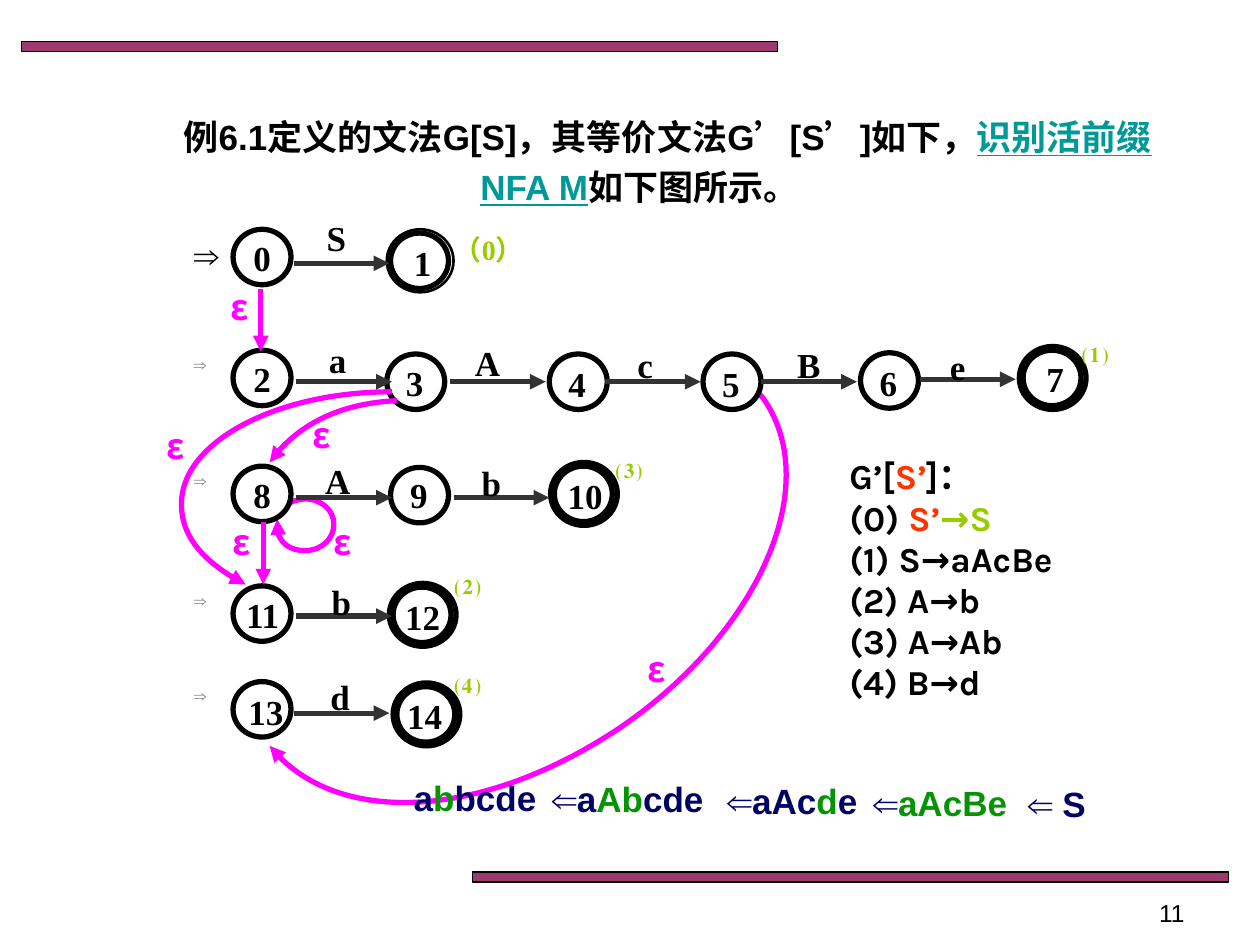
from lxml.etree import SubElement
from pptx import Presentation
from pptx.dml.color import RGBColor
from pptx.enum.shapes import MSO_CONNECTOR, MSO_SHAPE
from pptx.enum.text import PP_ALIGN
from pptx.oxml.ns import qn
from pptx.util import Pt

SCALE = 9144  # EMU per px, 100 px to the inch
BLACK, WHITE = RGBColor(0, 0, 0), RGBColor(255, 255, 255)
PLUM, GREY = RGBColor(0x99, 0x33, 0x66), RGBColor(0x80, 0x80, 0x80)
DARK, PINK = RGBColor(0x33, 0x33, 0x33), RGBColor(0xFF, 0, 0xFF)
TEAL, LIME = RGBColor(0, 0x99, 0x99), RGBColor(0x99, 0xCC, 0)
RED, NAVY = RGBColor(0xFF, 0x33, 0), RGBColor(0, 0, 0x66)
GREEN = RGBColor(0x06, 0x94, 0x06)
SANS, SERIF, KARLA, CJK = "Arial", "Times New Roman", "Karla", "Noto Sans CJK SC"
LEFT, MID, RIGHT = PP_ALIGN.LEFT, PP_ALIGN.CENTER, PP_ALIGN.RIGHT

BARS = [(17, 33), (375, 692)]
TITLE = [("例6.1定义的文法G[S]，其等价文法G", BLACK), ("’", BLACK), ("[S", BLACK),
         ("’", BLACK), ("]如下，", BLACK), ("识别活前缀NFA M", TEAL),
         ("如下图所示。", BLACK)]
RULES = [
    [("G’[", BLACK), ("S’", RED), ("]：", BLACK)],
    [("(0) ", BLACK), ("S’", RED), ("→S", LIME)],
    [("(1) S→aAcBe", BLACK)],
    [("(2) A→b", BLACK)],
    [("(3) A→Ab", BLACK)],
    [("(4) B→d", BLACK)],
]
STEPS = [  # x, y, width, runs
    (313, 611, 128, [("a", NAVY), ("b", GREEN), ("bcde", NAVY)]),
    (423, 612, 150, [("⇐a", NAVY), ("Ab", GREEN), ("cde", NAVY)]),
    (559, 614, 139, [("⇐aAc", NAVY), ("d", GREEN), ("e", NAVY)]),
    (678, 615, 136, [("⇐", NAVY), ("aAcBe", GREEN)]),
    (799, 616, 79, [("⇐ S", NAVY)]),
]
BACK = [(185, 182), (307, 281)]  # states under the curves
STATES = [(310, 371), (185, 278), (185, 370), (185, 465), (436, 281),
          (558, 281), (683, 280), (185, 541)]
FINALS = [  # inner ring x, y, outer line width
    (310, 185, 1.5), (812, 278, 3), (440, 370, 3), (312, 466, 3), (315, 545, 3)]
NAMES = [  # text, x, y, width
    ("0", 187, 183, 42), ("1", 310, 187, 51), ("2", 187, 279, 42),
    ("3", 308, 282, 42), ("4", 437, 283, 42), ("5", 559, 283, 42),
    ("6", 684, 282, 42), ("7", 812, 279, 51), ("8", 187, 371, 42),
    ("9", 306, 371, 53), ("10", 438, 372, 53), ("11", 182, 466, 53),
    ("12", 309, 468, 53), ("13", 183, 543, 56), ("14", 311, 546, 52),
    ("S", 246, 167, 42), ("a", 247, 264, 42), ("A", 366, 266, 42),
    ("c", 491, 268, 42), ("B", 621, 268, 42), ("e", 739, 269, 42),
    ("A", 247, 360, 42), ("b", 369, 361, 42), ("b", 250, 456, 42),
    ("d", 249, 531, 42),
]
EPSILONS = [(504, 509), (173, 222), (122, 332), (238, 323), (255, 408), (175, 408)]
MARKS = [("⑴", 849, 261), ("⑶", 479, 353), ("⑵", 351, 445), ("⑷", 351, 523)]
STARTS = [276, 368, 463, 539]
ARROWS = [(233, 209), (235, 303), (357, 303), (480, 303), (604, 303),
          (730, 301), (235, 395), (360, 395), (235, 489), (233, 566)]
DROPS = [(207, 229), (209, 414)]
CURVES = [  # arrow end, start point, then three points for each Bezier part
    ("tail", (311, 311), (219, 311), (144, 351), (144, 400),
     (144, 424), (162, 447), (195, 464)),
    ("head", (214, 592), (264, 656), (386, 649), (493, 577),
     (602, 502), (653, 387), (607, 318), (605, 315), (603, 313), (600, 310)),
    ("tail", (315, 318), (272, 320), (233, 339), (214, 367)),
    ("tail", (227, 401), (231, 398), (237, 396), (242, 396),
     (255, 396), (265, 405), (265, 416), (265, 428), (255, 437), (242, 437),
     (230, 437), (219, 428), (219, 416), (219, 415), (220, 413), (220, 412)),
]

deck = Presentation()
deck.slide_width, deck.slide_height = 1000 * SCALE, 750 * SCALE
slide = deck.slides.add_slide(deck.slide_layouts[6])
shapes = slide.shapes


def emu(*sizes):
    return [n * SCALE for n in sizes]


def write(para, runs, font, size, bold=True, align=LEFT, east=None, first=0):
    """Fill one paragraph with (text, colour) runs; first is its indent in px."""
    para.alignment = align
    if first:
        props = para._p.get_or_add_pPr()
        props.set("marL", "0")
        props.set("indent", str(first * SCALE))
    para.font.name, para.font.size, para.font.bold = font, Pt(size), bold
    SubElement(para.font._element, qn("a:ea"), typeface=east or font)
    for text, color in runs:
        run = para.add_run()
        run.text = text
        run.font.color.rgb = color
        if color == TEAL:
            run.font.underline = True
        if text == "’":
            run.font.name = CJK


def label(box, runs, font=SERIF, size=20, **style):
    frame = shapes.add_textbox(*emu(*box)).text_frame
    frame.word_wrap = True
    write(frame.paragraphs[0], runs, font, size, **style)
    return frame.paragraphs[0]


def ring(x, y, w, h, width=3, fill=None):
    oval = shapes.add_shape(MSO_SHAPE.OVAL, *emu(x, y, w, h))
    oval.shadow.inherit = False
    if fill is None:
        oval.fill.background()
    else:
        oval.fill.solid()
        oval.fill.fore_color.rgb = fill
    oval.line.color.rgb, oval.line.width = BLACK, Pt(width)


def stroke(shape, color, end="tail"):
    shape.line.color.rgb, shape.line.width = color, Pt(3)
    SubElement(shape.line._get_or_add_ln(), qn(f"a:{end}End"), type="triangle")


def arrow(x, y, dx, dy, color):
    line = shapes.add_connector(MSO_CONNECTOR.STRAIGHT, *emu(x, y, x + dx, y + dy))
    stroke(line, color)
    SubElement(line._element.spPr, qn("a:effectLst"))


def curve(end, start, *points):
    """Draw a freeform, turning each three line segments into one Bezier part."""
    pen = shapes.build_freeform(*start, scale=SCALE)
    pen.add_line_segments(points, close=False)
    shape = pen.convert_to_shape()
    shape.shadow.inherit = False
    shape.fill.background()
    stroke(shape, PINK, end)
    outline = shape._element.spPr.find(f".//{qn('a:path')}")
    lines = outline.findall(qn("a:lnTo"))
    for i in range(0, len(lines), 3):
        part = SubElement(outline, qn("a:cubicBezTo"))
        for line in lines[i:i + 3]:
            part.append(line[0])
            outline.remove(line)


for x, y in BARS:
    bar = shapes.add_shape(MSO_SHAPE.RECTANGLE, *emu(x, y, 600, 8))
    bar.shadow.inherit = False
    bar.fill.solid()
    bar.fill.fore_color.rgb = PLUM
    tint = bar._element.spPr.find(f".//{qn('a:srgbClr')}")
    SubElement(tint, qn("a:alpha"), val="96000")
    bar.line.color.rgb, bar.line.width = BLACK, Pt(0.75)
label((717, 708, 233, 27), [("11", BLACK)], SANS, 14, bold=False, align=RIGHT)
title = label((90, 80, 835, 90), TITLE, SANS, align=MID, east=CJK, first=45)
title.line_spacing = 1.2

table = shapes.add_table(1, 1, *emu(587, 351, 284, 210)).table
table.first_row = table.horz_banding = False
cell = table.cell(0, 0)
cell.fill.background()
for i, runs in enumerate(RULES):
    para = cell.text_frame.add_paragraph() if i else cell.text_frame.paragraphs[0]
    write(para, runs, KARLA, 20, east=CJK, first=77)

for x, y in BACK:
    ring(x, y, 46, 44, fill=WHITE)
for parts in CURVES:
    curve(*parts)
for x, y in STATES:
    ring(x, y, 46, 44, fill=WHITE)
for x, y, width in FINALS:
    ring(x, y, 46, 44)
    ring(x - 3, y - 3, 53, 50, width)
for x, y in ARROWS:
    arrow(x, y, 76, 0, DARK)
for x, y in DROPS:
    arrow(x, y, 0, 50, PINK)

for text, x, y, w in NAMES:
    label((x, y, w, 44), [(text, BLACK)], align=MID)
label((144, 180, 55, 39), [("⇒", BLACK)])
for y in STARTS:
    label((144, y, 55, 39), [("⇒", GREY)], size=10, bold=False)
for x, y in EPSILONS:
    label((x, y, 42, 44), [("ε", PINK)], CJK)
label((340, 180, 96, 31), [("（0）", LIME)], size=16, align=MID, east=CJK)
for text, x, y in MARKS:
    label((x, y, 53, 44), [(text, LIME)], size=16)
for x, y, w, runs in STEPS:
    label((x, y, w, 43), runs, SANS, align=MID)

deck.save("out.pptx")
